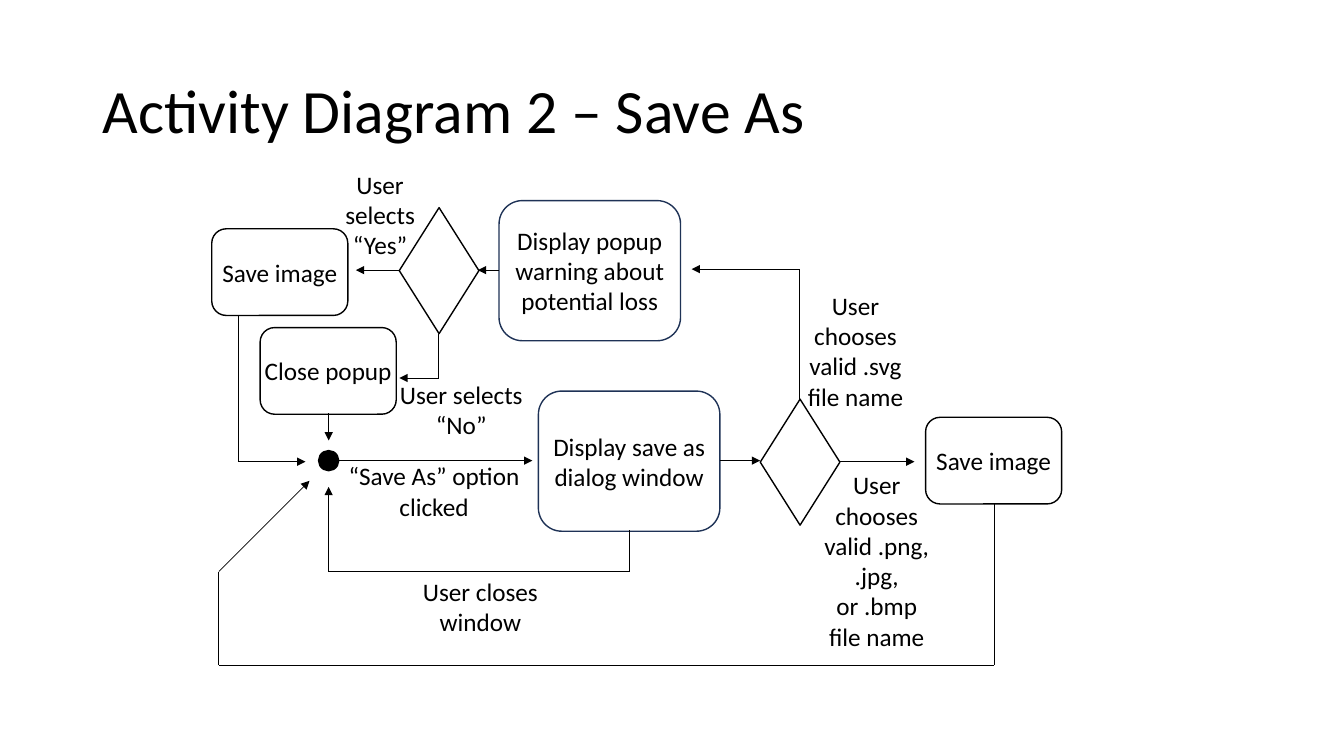
from lxml import etree
from pptx import Presentation
from pptx.dml.color import RGBColor
from pptx.enum.shapes import MSO_CONNECTOR, MSO_SHAPE as SHAPE
from pptx.enum.text import MSO_ANCHOR as ANCHOR, PP_ALIGN as ALIGN
from pptx.oxml.ns import qn
from pptx.util import Inches, Pt

BLACK, NAVY = "000000", "1E3256"
SMALL, LARGE, DIAMOND = (1.35, 0.86), (1.8, 1.39), (0.79, 1.25)


def color(value):
    return RGBColor.from_string(value)


def place(box, x, y, w, h):
    return [Inches(v) for v in (box[0] + x, box[1] + y, w, h)]


def write(tf, text, size=18, align=ALIGN.CENTER):
    p = tf.paragraphs[0]
    p.alignment = align
    r = p.add_run()
    r.text = text
    r.font.name = "Calibri"
    r.font.size = Pt(size)
    r.font.color.rgb = color(BLACK)
    return p


def label(s, box, x, y, w, h, text):
    tf = s.shapes.add_textbox(*place(box, x, y, w, h)).text_frame
    tf.word_wrap = True
    write(tf, text)


def node(s, box, kind, x, y, size, line=BLACK, fill=None):
    sp = s.shapes.add_shape(kind, *place(box, x, y, *size))
    sp.shadow.inherit = False
    if fill:
        sp.fill.solid()
        sp.fill.fore_color.rgb = color(fill)
    else:
        sp.fill.background()
    sp.line.color.rgb = color(line)
    sp.line.width = Pt(1)
    return sp


def activity(s, box, x, y, size, text):
    line = NAVY if size == LARGE else BLACK
    tf = node(s, box, SHAPE.ROUNDED_RECTANGLE, x, y, size, line).text_frame
    tf.word_wrap = size == LARGE
    tf.vertical_anchor = ANCHOR.MIDDLE
    tf.margin_left = tf.margin_right = 0
    write(tf, text)


def flow(s, box, *points):
    for (x1, y1), (x2, y2) in zip(points, points[1:]):
        ends = [Inches(v) for v in (box[0] + x1, box[1] + y1, box[0] + x2, box[1] + y2)]
        line = s.shapes.add_connector(MSO_CONNECTOR.STRAIGHT, *ends)
        line.line.color.rgb = color(BLACK)
        line.line.width = Pt(0.5)
        etree.SubElement(line._element.spPr, qn("a:effectLst"))
    etree.SubElement(line.line._get_or_add_ln(), qn("a:tailEnd"), type="triangle")


def title(s, box):
    tf = s.shapes.add_textbox(*place(box, 0, 0, 11.5, 1.45)).text_frame
    tf.word_wrap = True
    tf.vertical_anchor = ANCHOR.MIDDLE
    write(tf, "Activity Diagram 2 – Save As", 44, ALIGN.LEFT).line_spacing = 0.9


def warning_branch(s, box):
    activity(s, box, 2.95, 0.39, LARGE, "Display popup warning about potential loss")
    node(s, box, SHAPE.DIAMOND, 1.96, 0.46, DIAMOND)
    activity(s, box, 0.1, 0.67, SMALL, "Save image")
    activity(s, box, 0.58, 1.65, SMALL, "Close popup")
    label(s, box, 1.26, 0.03, 1.02, 1.01, "User selects “Yes”")
    label(s, box, 1.7, 2.11, 1.75, 0.71, "User selects “No”")
    flow(s, box, (2.95, 1.08), (2.74, 1.08))
    flow(s, box, (1.96, 1.08), (1.53, 1.08))
    flow(s, box, (2.35, 1.71), (2.35, 2.15), (1.96, 2.15))
    flow(s, box, (1.26, 2.5), (1.26, 2.77))
    flow(s, box, (0.36, 1.53), (0.36, 2.98), (1.03, 2.98))


def dialog_branch(s, box):
    node(s, box, SHAPE.OVAL, 0.16, 0.67, (0.2, 0.2), fill=BLACK)
    activity(s, box, 2.34, 0.08, LARGE, "Display save as dialog window")
    node(s, box, SHAPE.DIAMOND, 4.54, 0.16, DIAMOND)
    activity(s, box, 6.18, 0.34, SMALL, "Save image")
    label(s, box, 0.34, 0.72, 1.93, 0.71, "“Save As” option clicked")
    label(s, box, 4.83, -0.97, 1.31, 1.31, "User chooses valid .svg file name")
    label(s, box, 5.04, 0.81, 1.31, 1.92,
          "User chooses valid .png, .jpg, or\u00a0.bmp file name")
    flow(s, box, (0.36, 0.77), (2.28, 0.77))
    flow(s, box, (4.14, 0.77), (4.54, 0.77))
    flow(s, box, (5.33, 0.78), (6.07, 0.78))
    flow(s, box, (4.93, 0.16), (4.93, -1.13), (3.86, -1.13))


def return_paths(s, box):
    label(s, box, 1.8, 1.17, 1.93, 0.71, "User closes window")
    flow(s, box, (4.24, 0.76), (4.24, 1.17), (1.26, 1.17), (1.26, 0.33))
    flow(s, box, (7.86, 0.5), (7.86, 2.1), (0.17, 2.1), (0.17, 1.17), (1.07, 0.27))


prs = Presentation()
prs.slide_width, prs.slide_height = Inches(13.33), Inches(7.5)
s = prs.slides.add_slide(prs.slide_layouts[6])
title(s, (0.92, 0.4))
warning_branch(s, (2, 1.6))
dialog_branch(s, (3, 3.8))
return_paths(s, (2, 4.5))
prs.save("out.pptx")
